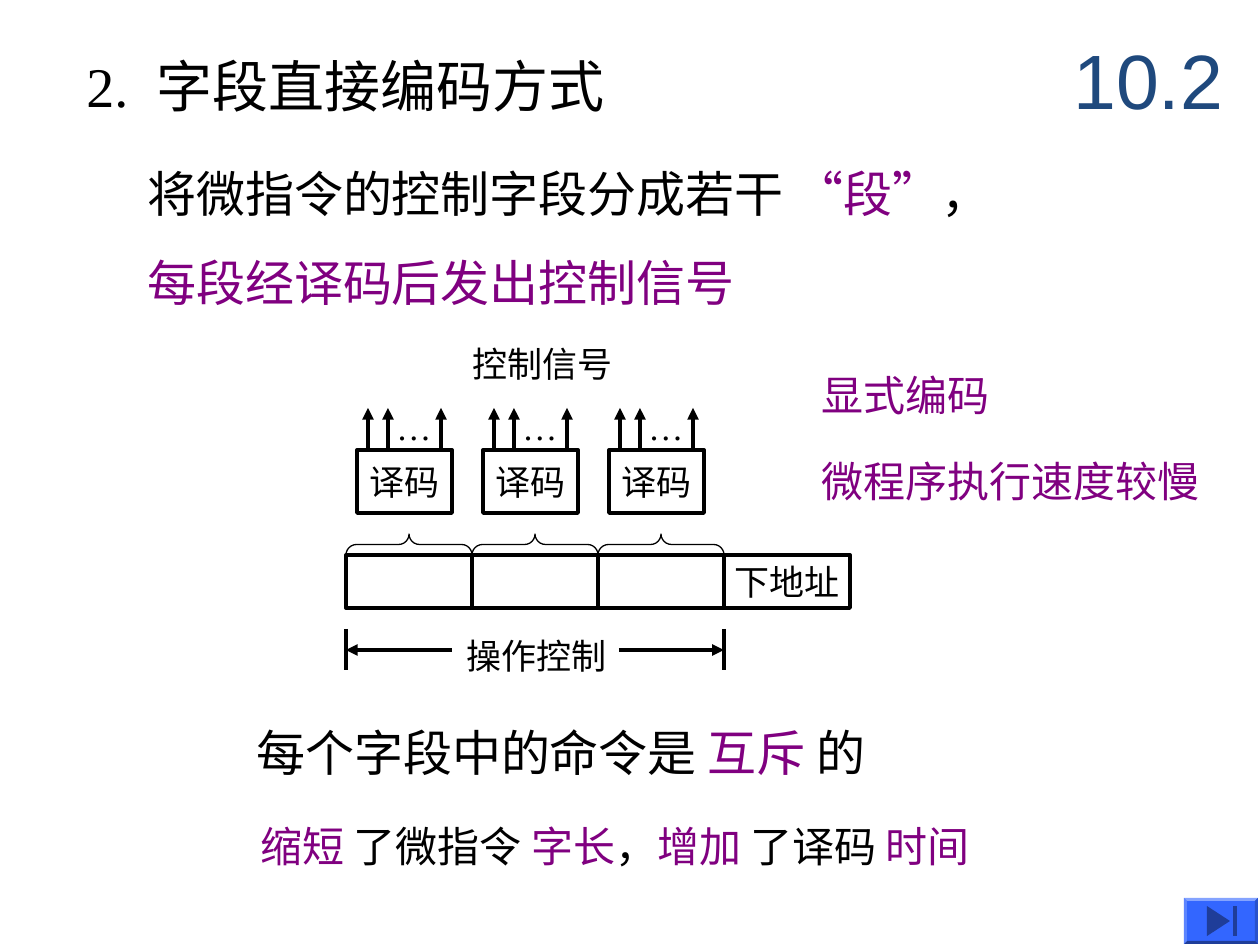
import pptx
import pptx.util
import pptx.dml.color
import pptx.enum.shapes
import pptx.enum.text
import pptx.oxml.ns
import lxml.etree

SCALE = 914400 / 126
BLACK = "000000"
PURPLE = "800080"
SANS = "DejaVu Sans"
SERIF = "Times New Roman"
SHAPES = pptx.enum.shapes.MSO_SHAPE


def emu(px):
    return pptx.util.Emu(round(px * SCALE))


def color(value):
    return pptx.dml.color.RGBColor.from_string(value)


class SlideBuilder:
    line_width = 2.25
    label_size = 20

    def __init__(self, slide):
        self.slide = slide

    def style_run(self, run, size, font, value):
        run.font.size = pptx.util.Pt(size)
        run.font.name = font
        run.font.color.rgb = color(value)

    def text(self, box, paragraphs, size, font=SERIF, wrap=False, space=0, hanging=0):
        shape = self.slide.shapes.add_textbox(*map(emu, box))
        frame = shape.text_frame
        frame.word_wrap = wrap
        frame.auto_size = pptx.enum.text.MSO_AUTO_SIZE.SHAPE_TO_FIT_TEXT
        for index, pieces in enumerate(paragraphs):
            paragraph = frame.add_paragraph() if index else frame.paragraphs[0]
            if index:
                paragraph.space_before = pptx.util.Pt(space)
            if hanging:
                properties = paragraph._p.get_or_add_pPr()
                properties.set("marL", str(emu(hanging)))
                properties.set("indent", str(-emu(hanging)))
            for words, value, *own_font in pieces:
                run = paragraph.add_run()
                run.text = words
                self.style_run(run, size, own_font[0] if own_font else font, value)
        return shape

    def outline(self, kind, box, width=line_width):
        shape = self.slide.shapes.add_shape(kind, *map(emu, box))
        shape.shadow.inherit = False
        shape.fill.background()
        shape.line.color.rgb = color(BLACK)
        shape.line.width = pptx.util.Pt(width)
        return shape

    def box(self, box, label=""):
        shape = self.outline(SHAPES.RECTANGLE, box)
        if label:
            frame = shape.text_frame
            frame.text = label
            frame.word_wrap = False
            frame.vertical_anchor = pptx.enum.text.MSO_ANCHOR.MIDDLE
            paragraph = frame.paragraphs[0]
            paragraph.alignment = pptx.enum.text.PP_ALIGN.CENTER
            self.style_run(paragraph.runs[0], self.label_size, SERIF, BLACK)

    def brace(self, left, top, width, height):
        middle_x, middle_y = left + width / 2, top + height / 2
        shape = self.outline(
            SHAPES.LEFT_BRACE,
            (middle_x - height / 2, middle_y - width / 2, height, width), 0.75)
        shape.adjustments[0] = 0.5
        shape.rotation = 90

    def line(self, start, end, arrow=False):
        connector = self.slide.shapes.add_connector(
            pptx.enum.shapes.MSO_CONNECTOR.STRAIGHT, *map(emu, start + end))
        connector.line.color.rgb = color(BLACK)
        connector.line.width = pptx.util.Pt(self.line_width)
        if arrow:
            tail = lxml.etree.SubElement(
                connector.line._get_or_add_ln(), pptx.oxml.ns.qn("a:tailEnd"))
            tail.set("type", "triangle")
        lxml.etree.SubElement(
            connector._element.spPr, pptx.oxml.ns.qn("a:effectLst"))

    def polygon(self, points, value):
        builder = self.slide.shapes.build_freeform(*points[0], scale=SCALE)
        builder.add_line_segments(points[1:], close=True)
        shape = builder.convert_to_shape()
        shape.shadow.inherit = False
        shape.fill.solid()
        shape.fill.fore_color.rgb = color(value)
        shape.line.fill.background()

    def end_button(self, left, top, width, height, bevel):
        right, bottom = left + width, top + height
        outer = [(left, top), (right, top), (right, bottom), (left, bottom)]
        inner = [(left + bevel, top + bevel), (right - bevel, top + bevel),
                 (right - bevel, bottom - bevel), (left + bevel, bottom - bevel)]
        self.polygon(outer, "3366FF")
        for side, shade in enumerate(("84A3FF", "2952CC", "1F3D99", "5C85FF")):
            following = (side + 1) % 4
            self.polygon([outer[side], outer[following],
                          inner[following], inner[side]], shade)
        middle = top + height // 2
        upper, lower = middle - 15, middle + 15
        self.polygon([(left + 46, middle), (left + 23, lower), (left + 23, upper)], "1F3D99")
        self.polygon([(left + 49, upper), (left + 49, lower),
                      (left + 53, lower), (left + 53, upper)], "1F3D99")


def draw_diagram(builder):
    left, pitch, cell_top, cell_height = 346, 126, 555, 53
    for index in range(3):
        cell_left = left + index * pitch
        builder.box((cell_left + 11, 450, 95, 63), "译码")
        for offset in (22, 42, 95):
            x = cell_left + offset
            builder.line((x, 450), (x, 408), arrow=True)
        builder.text((cell_left + 38, 399, 62, 55), [[("…", BLACK)]], 20)
        builder.box((cell_left, cell_top, pitch, cell_height))
        builder.brace(cell_left, cell_top - 21, pitch, 21)
    right = left + 3 * pitch
    builder.box((right, cell_top, pitch, cell_height), "下地址")
    for edge, inner in ((left, 452), (right, 619)):
        builder.line((edge, 629), (edge, 670))
        builder.line((inner, 650), (edge, 650), arrow=True)
    for label, label_left, label_top in (("操作控制", 454, 628), ("控制信号", 460, 336)):
        builder.text((label_left, label_top, 176, 55), [[(label, BLACK)]], 20)


def main():
    presentation = pptx.Presentation()
    presentation.slide_width = emu(1260)
    presentation.slide_height = emu(945)
    slide = presentation.slides.add_slide(presentation.slide_layouts[6])
    builder = SlideBuilder(slide)

    builder.text((74, 45, 1091, 81),
                 [[("2.\t", BLACK, SERIF), ("字段直接编码方式", BLACK)]],
                 32, SANS, wrap=True, hanging=70)
    builder.text((135, 157, 1052, 161), [
        [("将微指令的控制字段分成若干 ", BLACK), ("“", PURPLE, "Arial"),
         ("段", PURPLE), ("”", PURPLE, "Arial"), ("，", BLACK)],
        [("每段经译码后发出控制信号", PURPLE)],
    ], 28, SANS, wrap=True, space=17.5)
    builder.text((244, 716, 725, 72),
                 [[("每个字段中的命令是 ", BLACK), ("互斥 ", PURPLE), ("的", BLACK)]],
                 28, SANS, wrap=True)
    draw_diagram(builder)
    builder.text((248, 814, 745, 63), [[
        ("缩短 ", PURPLE), ("了微指令 ", BLACK), ("字长", PURPLE), ("，", BLACK),
        ("增加 ", PURPLE), ("了译码 ", BLACK), ("时间", PURPLE)]], 24)
    builder.text((809, 449, 410, 63), [[("微程序执行速度较慢", PURPLE)]], 24)
    number = builder.text((1061, 21, 199, 116), [[("10.2", "1F497D")]],
                          44, "Arial", wrap=True)
    number.text_frame.auto_size = pptx.enum.text.MSO_AUTO_SIZE.NONE
    number.text_frame.vertical_anchor = pptx.enum.text.MSO_ANCHOR.MIDDLE
    builder.text((809, 363, 297, 63), [[("显式编码", PURPLE)]], 24, wrap=True)
    builder.end_button(1184, 898, 74, 46, 3)
    presentation.save("out.pptx")


if __name__ == "__main__":
    main()
